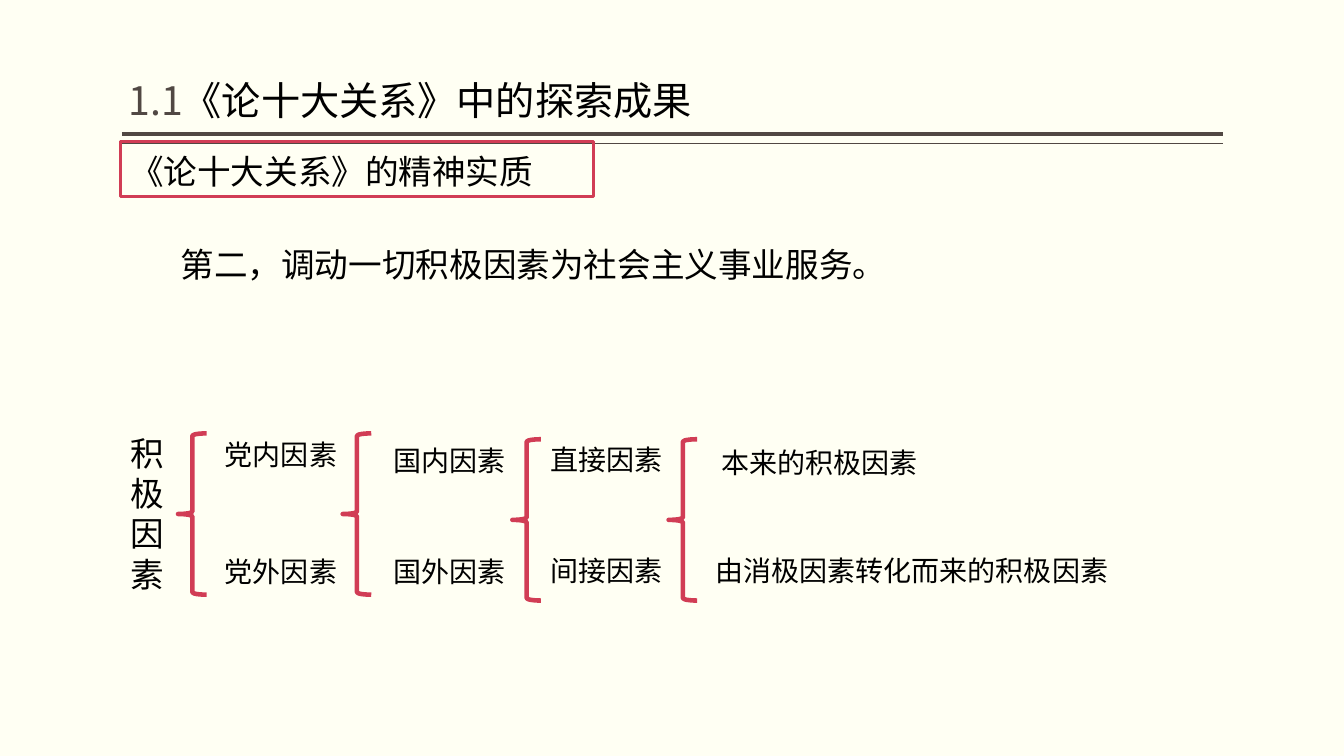
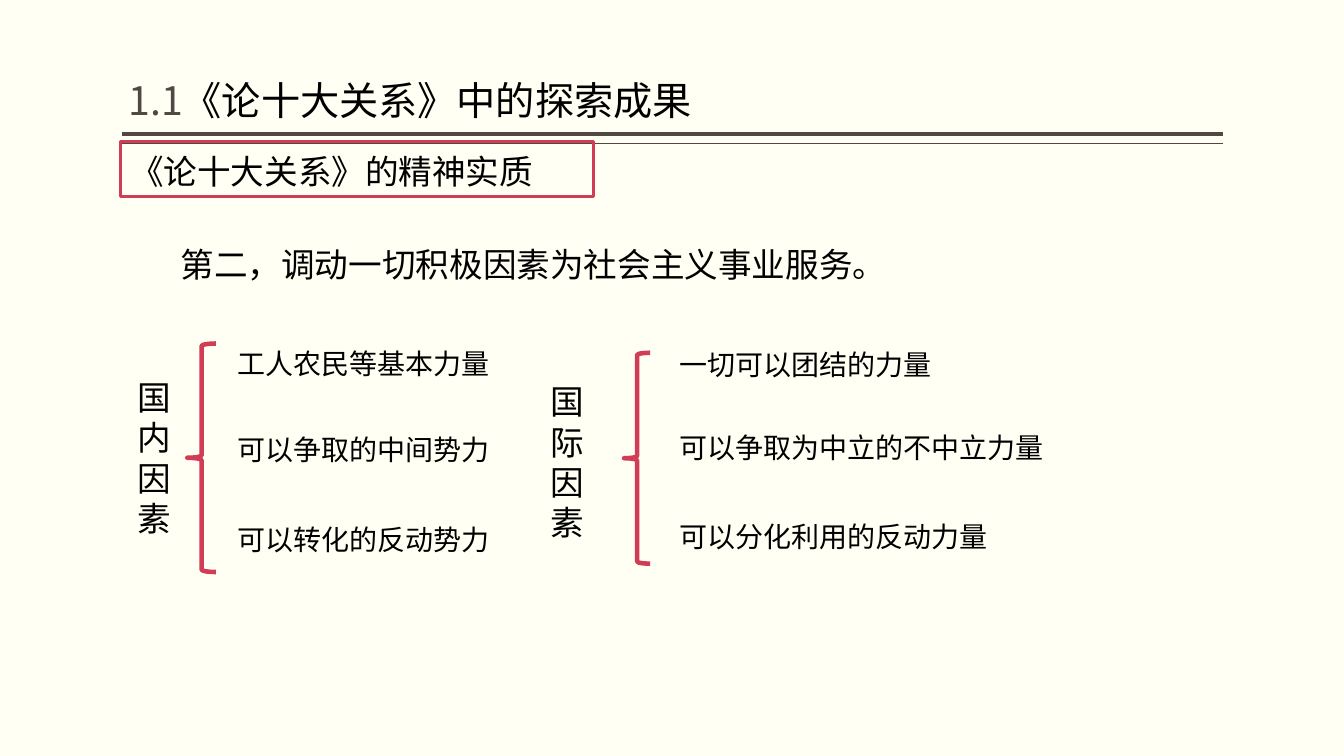
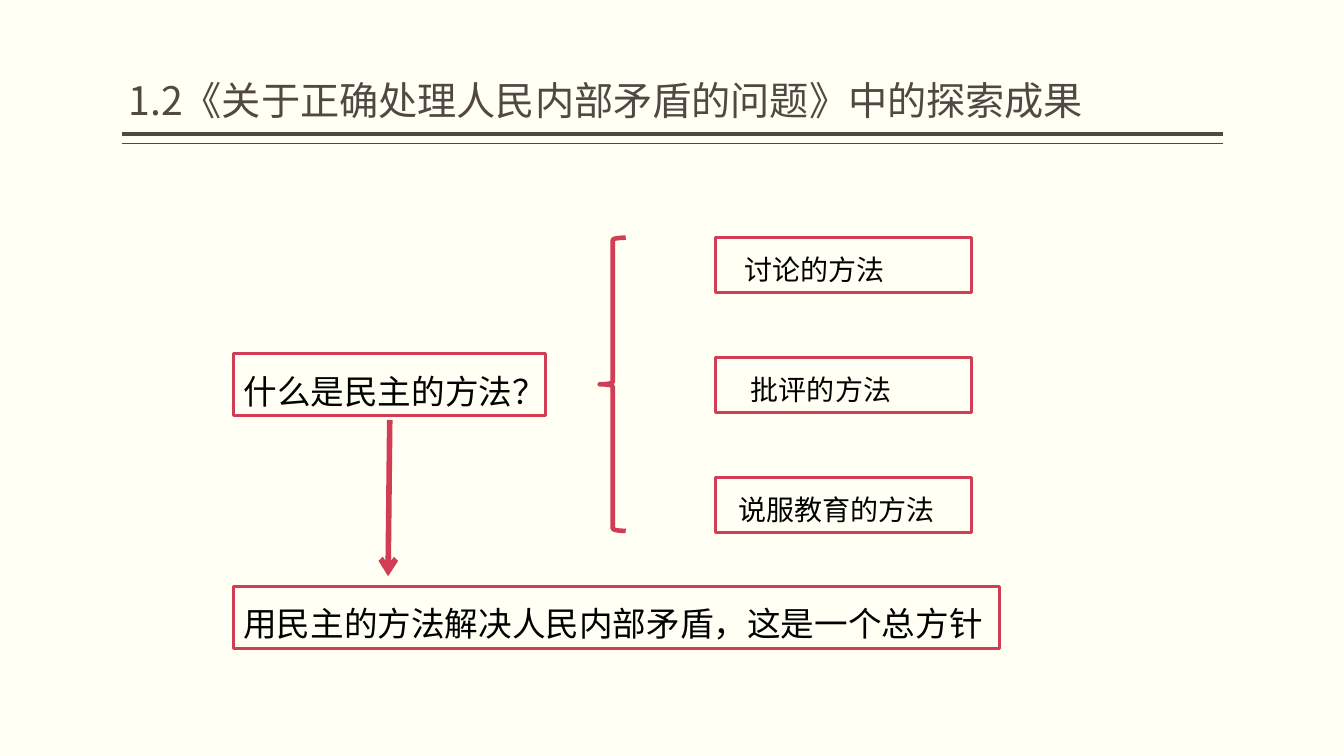
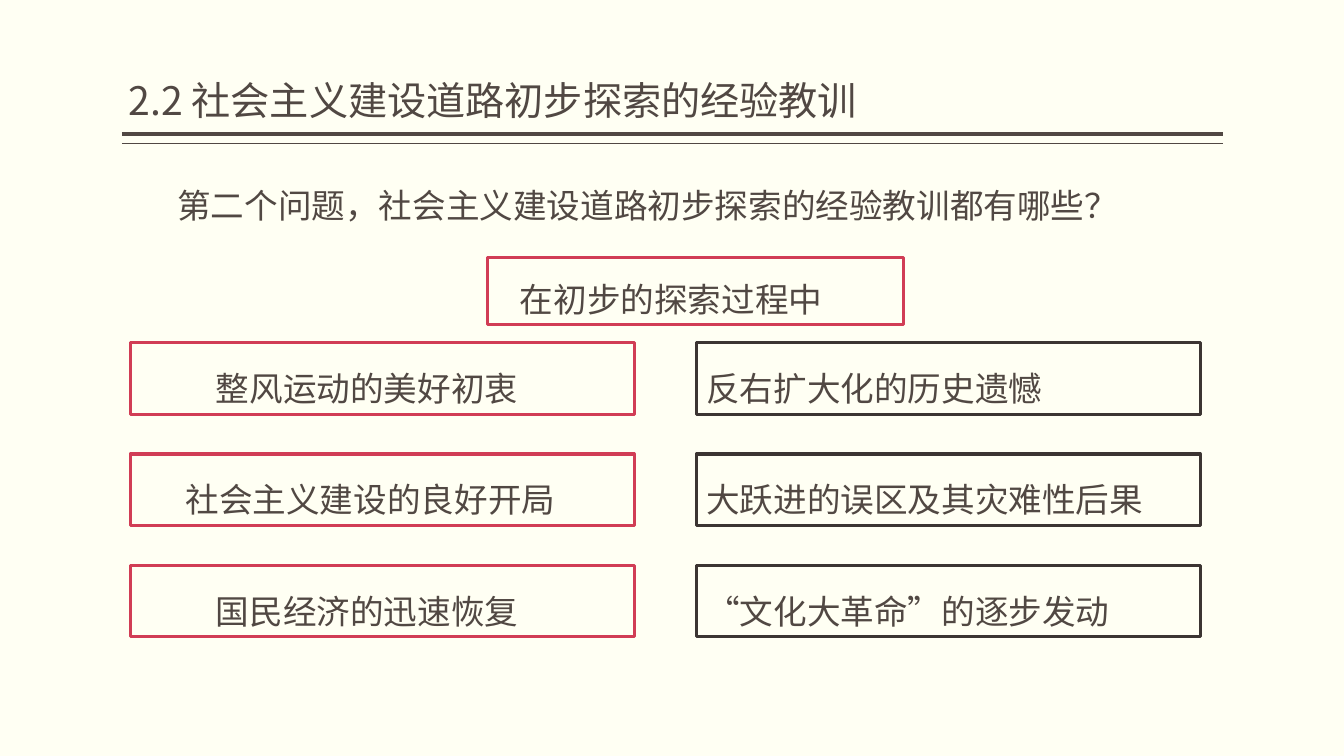
from lxml.etree import SubElement
from pptx import Presentation
from pptx.dml.color import RGBColor
from pptx.enum.shapes import MSO_CONNECTOR, MSO_SHAPE
from pptx.enum.text import MSO_ANCHOR, MSO_AUTO_SIZE, PP_ALIGN
from pptx.oxml.ns import qn
from pptx.util import Pt

COLORS = {"paper": "FFFFF3", "brown": "514843", "black": "000000", "red": "D13D55", "dark": "3C3532"}
CJK_FONT = "Noto Sans CJK SC"
INSET = 1.2

presentation = Presentation()
presentation.slide_width = 12192000
presentation.slide_height = 6858000
column = presentation.slide_width // 160
row = presentation.slide_height // 90

background = presentation.slide_master.background.fill
background.solid()
background.fore_color.rgb = RGBColor.from_string(COLORS["paper"])


def add_outline(slide, kind, box, color="red", weight=2.25):
    left, top, width, height = box
    shape = slide.shapes.add_shape(
        kind, round(left * column), round(top * row), round(width * column), round(height * row))
    shape.shadow.inherit = False
    shape.fill.background()
    shape.line.color.rgb = RGBColor.from_string(COLORS[color])
    shape.line.width = Pt(weight)
    return shape


def add_text(slide, box, runs, size=24, spacing=1.0, indent=0.0, color="black",
             font="Arial", outline=None, frame_format=None):
    if outline:
        shape = add_outline(slide, MSO_SHAPE.RECTANGLE, box, outline)
    else:
        left, top, width, height = box
        shape = slide.shapes.add_textbox(
            round(left * column), round(top * row), round(width * column), round(height * row))
    frame = shape.text_frame
    settings = {
        "word_wrap": True,
        "auto_size": MSO_AUTO_SIZE.SHAPE_TO_FIT_TEXT,
        "vertical_anchor": MSO_ANCHOR.TOP,
        "margin_left": round((INSET + indent) * column),
    }
    settings.update(frame_format or {})
    for name, value in settings.items():
        setattr(frame, name, value)
    paragraph = frame.paragraphs[0]
    paragraph.alignment = PP_ALIGN.LEFT
    paragraph.line_spacing = spacing
    for text, run_color in [(runs, color)] if isinstance(runs, str) else runs:
        run = paragraph.add_run()
        run.text = text
        for name, value in {"size": Pt(size), "name": font}.items():
            setattr(run.font, name, value)
        run.font.color.rgb = RGBColor.from_string(COLORS[run_color])
        SubElement(run.font._element, qn("a:ea"), typeface=CJK_FONT)


relations_title = [("1.1", "brown"), ("《论十大关系》中的探索成果", "black")]
titles = [
    relations_title,
    relations_title,
    "1.2《关于正确处理人民内部矛盾的问题》中的探索成果",
    "2.2 社会主义建设道路初步探索的经验教训",
]
title_format = {
    "auto_size": MSO_AUTO_SIZE.NONE,
    "vertical_anchor": MSO_ANCHOR.BOTTOM,
    "margin_left": column,
    "margin_right": 0,
}
label_format = {"margin_top": round(INSET * row)}

connectors = []
slides = []
for title in titles:
    slide = presentation.slides.add_slide(presentation.slide_layouts[6])
    slides.append(slide)
    for top, weight in [(16, 3), (17.1, 1)]:
        rule = slide.shapes.add_connector(
            MSO_CONNECTOR.STRAIGHT, round(14.5 * column), round(top * row),
            round(145.6 * column), round(top * row))
        connectors.append((rule, "brown", weight))
    add_text(slide, (14.3, 1, 131, 14.4), title, size=28, spacing=0.9, color="brown",
             font=CJK_FONT, frame_format=title_format)

factors_slide, forces_slide, methods_slide, lessons_slide = slides

for slide in (factors_slide, forces_slide):
    add_text(slide, (14.3, 16.9, 56.4, 6.5), "《论十大关系》的精神实质", spacing=1.1, outline="red")
    add_text(slide, (16.7, 27, 123, 7.4), "第二，调动一切积极因素为社会主义事业服务。",
             spacing=1.3, indent=3.6)

vertical_labels = [
    (factors_slide, 14.3, 50.9, "积极因素"),
    (forces_slide, 15.2, 44.3, "国内因素"),
    (forces_slide, 64.4, 44.8, "国际因素"),
]
for slide, left, top, text in vertical_labels:
    add_text(slide, (left, top, 7.9, 20.6), text)

braces = [
    (factors_slide, (21.2, 51.6, 3.4, 19.2)),
    (factors_slide, (40.8, 51.6, 3.4, 19.2)),
    (factors_slide, (61, 52.3, 3.4, 19.2)),
    (factors_slide, (79.6, 52.3, 3.4, 19.2)),
    (forces_slide, (22.3, 40.9, 3.4, 27.2)),
    (forces_slide, (74.3, 42, 3.1, 25.1)),
    (methods_slide, (71.4, 28.3, 3.1, 34.9)),
]
for slide, box in braces:
    add_outline(slide, MSO_SHAPE.LEFT_BRACE, box, weight=3.25)

label_groups = [
    (factors_slide, 33.8, 1.0, [(25.6, 50.9, "党内因素"), (25.6, 64.8, "党外因素"),
                                (45.7, 51.6, "国内因素"), (45.7, 64.8, "国外因素")]),
    (factors_slide, 51.2, 0.8, [(64.3, 52.3, "直接因素"), (64.3, 65.5, "间接因素"),
                                (84.7, 52.6, "本来的积极因素"),
                                (84, 65.5, "由消极因素转化而来的积极因素")]),
    (forces_slide, 41.6, 1.0, [(27.1, 40.1, "工人农民等基本力量"),
                               (27.1, 50.3, "可以争取的中间势力"),
                               (27.1, 61, "可以转化的反动势力")]),
    (forces_slide, 51.2, 0.8, [(79.7, 41, "一切可以团结的力量"),
                               (79.7, 50.8, "可以争取为中立的不中立力量"),
                               (79.7, 61.4, "可以分化利用的反动力量")]),
]
for slide, width, spacing, labels in label_groups:
    for left, top, text in labels:
        add_text(slide, (left, top, width, 5), text, size=20, spacing=spacing,
                 frame_format=label_format)

methods = [("讨论的方法", 2.2), ("批评的方法", 3), ("说服教育的方法", 1.5)]
for index, (text, indent) in enumerate(methods):
    add_text(methods_slide, (85.2, 28.3 + 14.3 * index, 30.5, 6.5), text, size=20,
             spacing=1.3, indent=indent, outline="red")
for top, width, text in [(42.1, 37.1, "什么是民主的方法？"),
                         (69.8, 91.2, "用民主的方法解决人民内部矛盾，这是一个总方针")]:
    add_text(methods_slide, (27.8, top, width, 7.4), text, spacing=1.3, outline="red")

arrow = methods_slide.shapes.add_connector(
    MSO_CONNECTOR.STRAIGHT, round(46.4 * column), round(50 * row),
    round(46.2 * column), round(68.6 * row))
connectors.append((arrow, "red", 4))

for connector, color, weight in connectors:
    connector.line.color.rgb = RGBColor.from_string(COLORS[color])
    connector.line.width = Pt(weight)
    SubElement(connector._element.spPr, qn("a:effectLst"))
SubElement(arrow.line._get_or_add_ln(), qn("a:tailEnd"), type="arrow")

add_text(lessons_slide, (16.3, 19, 129, 8.5),
         "第二个问题，社会主义建设道路初步探索的经验教训都有哪些？",
         spacing=1.5, indent=3.6, color="brown")
add_text(lessons_slide, (58, 30.7, 49.6, 7.9), "在初步的探索过程中",
         spacing=1.4, indent=2.7, color="brown", outline="red")

lesson_columns = [
    (15.5, "red", [("整风运动的美好初衷", 9), ("社会主义建设的良好开局", 5.4), ("国民经济的迅速恢复", 9)]),
    (82.9, "dark", [("反右扩大化的历史遗憾", 0), ("大跃进的误区及其灾难性后果", 0),
                    ("“文化大革命”的逐步发动", 0)]),
]
for left, outline, lessons in lesson_columns:
    for index, (text, indent) in enumerate(lessons):
        add_text(lessons_slide, (left, 40.8 + 13.25 * index, 60, 8.5), text,
                 spacing=1.5, indent=indent, color="brown", outline=outline)

presentation.save("out.pptx")
